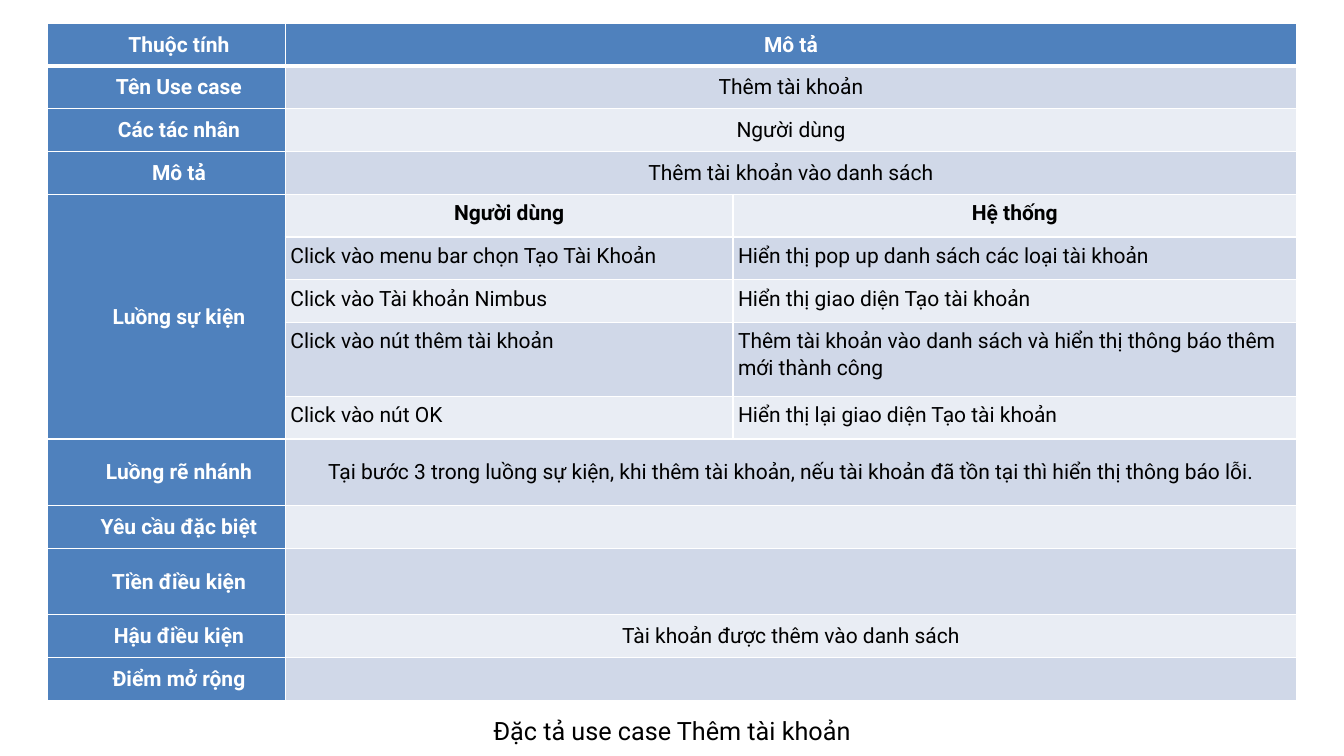
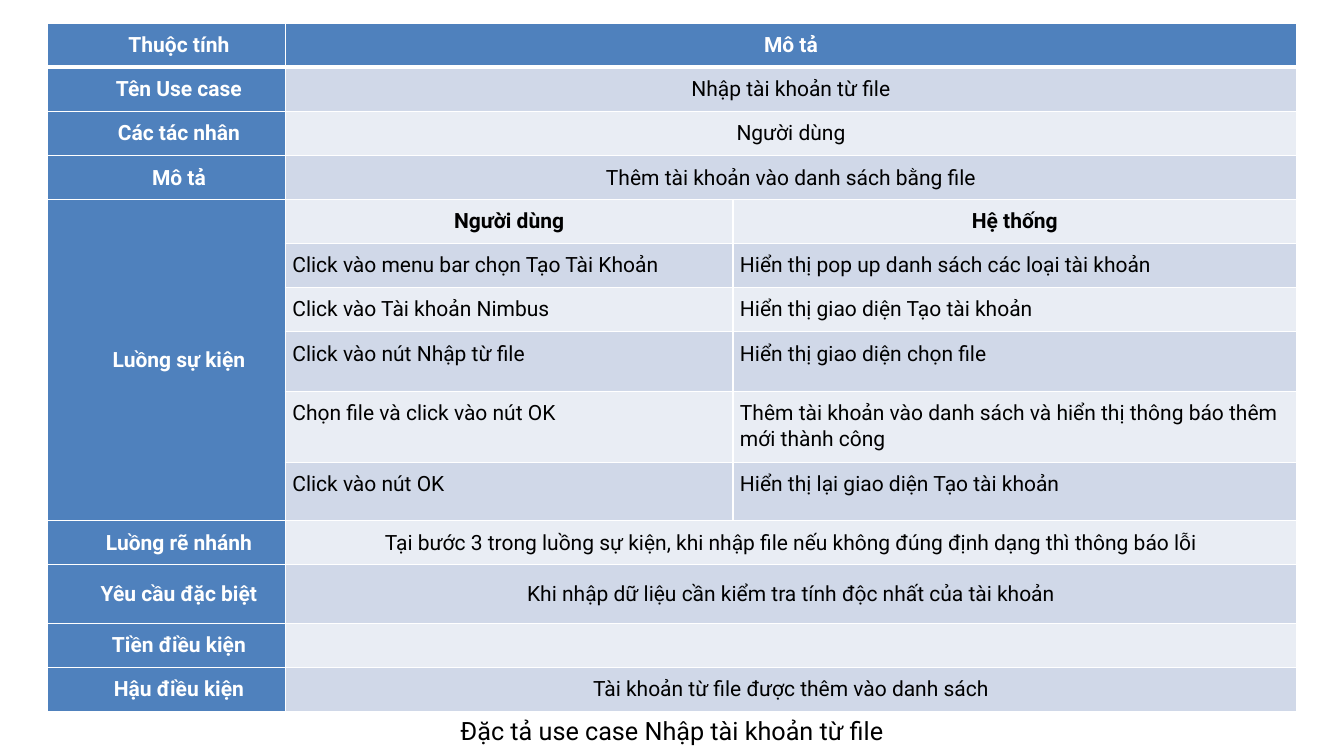
import lxml.etree
import pptx
import pptx.dml.color
import pptx.enum.text
import pptx.oxml.ns
import pptx.util

Inches = pptx.util.Inches
Pt = pptx.util.Pt
RGBColor = pptx.dml.color.RGBColor
Align = pptx.enum.text.PP_ALIGN
Anchor = pptx.enum.text.MSO_ANCHOR
qn = pptx.oxml.ns.qn

# Shared style
FONT = "Roboto"
BLUE = RGBColor(0x4F, 0x81, 0xBD)
BANDS = [RGBColor(0xE9, 0xED, 0xF4), RGBColor(0xD0, 0xD8, 0xE8)]
WHITE = RGBColor(0xFF, 0xFF, 0xFF)
BLACK = RGBColor(0, 0, 0)
LEFT, TOP, WIDTH = 0.47, 0.23, 12.39
COLUMNS = [2.36, 4.44, 5.59]

# Contents: plain rows hold a label and a value, events hold user and system
ACTORS = ("Các tác nhân", "Người dùng")
EVENT_LABEL = "Luồng sự kiện"
EVENT_START = [
    ("Người dùng", "Hệ thống"),
    ("Click vào menu bar chọn Tạo Tài Khoản",
     "Hiển thị pop up danh sách các loại tài khoản"),
    ("Click vào Tài khoản Nimbus", "Hiển thị giao diện Tạo tài khoản"),
]
EVENT_END = ("Click vào nút OK", "Hiển thị lại giao diện Tạo tài khoản")
ADDED = "Thêm tài khoản vào danh sách và hiển thị thông báo thêm mới thành công"

# "tall" gives the heights of the rows that differ from the ordinary one
USE_CASES = [
    dict(
        caption="Đặc tả use case Thêm tài khoản",
        insets=(0.05, 0.05, 0.05, 0.06),
        height=6.72,
        tall={7: 0.73, 9: 0.66, 11: 0.66},
        intro=[
            ("Tên Use case", "Thêm tài khoản"),
            ACTORS,
            ("Mô tả", "Thêm tài khoản vào danh sách"),
        ],
        events=EVENT_START + [("Click vào nút thêm tài khoản", ADDED), EVENT_END],
        outcome=[
            ("Luồng rẽ nhánh",
             "Tại bước 3 trong luồng sự kiện, khi thêm tài khoản, nếu tài khoản "
             "đã tồn tại thì hiển thị thông báo lỗi."),
            ("Yêu cầu đặc biệt", ""),
            ("Tiền điều kiện", ""),
            ("Hậu điều kiện", "Tài khoản được thêm vào danh sách"),
            ("Điểm mở rộng", ""),
        ],
    ),
    dict(
        caption="Đặc tả use case Nhập tài khoản từ file",
        insets=(0.07, 0.08, 0.07, 0.09),
        height=6.74,
        tall={7: 0.59, 8: 0.7, 9: 0.58, 11: 0.58},
        intro=[
            ("Tên Use case", "Nhập tài khoản từ file"),
            ACTORS,
            ("Mô tả", "Thêm tài khoản vào danh sách bằng file"),
        ],
        events=EVENT_START + [
            ("Click vào nút Nhập từ file", "Hiển thị giao diện chọn file"),
            ("Chọn file và click vào nút OK", ADDED),
            EVENT_END,
        ],
        outcome=[
            ("Luồng rẽ nhánh",
             "Tại bước 3 trong luồng sự kiện, khi nhập file nếu không đúng "
             "định dạng thì thông báo lỗi"),
            ("Yêu cầu đặc biệt",
             "Khi nhập dữ liệu cần kiểm tra tính độc nhất của tài khoản"),
            ("Tiền điều kiện", ""),
            ("Hậu điều kiện", "Tài khoản từ file được thêm vào danh sách"),
        ],
    ),
]


def put_text(tf, text, size=15, color=BLACK, bold=False, align=Align.CENTER,
             spacing=None, indent=0):
    p = tf.paragraphs[0]
    p.alignment = align
    if spacing:
        p.line_spacing = spacing
    if indent:
        p._p.get_or_add_pPr().set("marL", str(Inches(indent)))
    r = p.add_run()
    r.text = text
    r.font.name = FONT
    r.font.size = Pt(size)
    r.font.bold = bold
    r.font.color.rgb = color


def set_borders(cell, bottom=1, top=1):
    tcPr = cell._tc.get_or_add_tcPr()
    sides = [("lnL", 1), ("lnR", 1), ("lnT", top), ("lnB", bottom)]
    for i, (side, width) in enumerate(sides):
        ln = lxml.etree.Element(qn("a:" + side), w=str(Pt(width)))
        fill = lxml.etree.SubElement(ln, qn("a:solidFill"))
        lxml.etree.SubElement(fill, qn("a:srgbClr"), val=str(WHITE))
        tcPr.insert(i, ln)


class Deck:
    def __init__(self):
        self.prs = pptx.Presentation()
        self.prs.slide_width = Inches(13.33)
        self.prs.slide_height = Inches(7.5)
        self.slide = None

    def add_slide(self):
        self.slide = self.prs.slides.add_slide(self.prs.slide_layouts[6])

    def caption(self, text):
        sp = self.slide.shapes.add_textbox(
            Inches(LEFT), Inches(7.05), Inches(WIDTH), Inches(0.4))
        tf = sp.text_frame
        tf.word_wrap = True
        tf.auto_size = pptx.enum.text.MSO_AUTO_SIZE.SHAPE_TO_FIT_TEXT
        put_text(tf, text, size=18)

    def fill_cell(self, cell, text, insets, anchor=Anchor.MIDDLE, **fmt):
        if not text:
            return
        cell.vertical_anchor = anchor
        (cell.margin_left, cell.margin_top,
         cell.margin_right, cell.margin_bottom) = map(Inches, insets)
        put_text(cell.text_frame, text, spacing=1.07, **fmt)

    def table(self, intro, events, outcome, height, tall, insets):
        head = [("Thuộc tính", "Mô tả")] + intro
        count = len(head) + len(events) + len(outcome)
        ordinary = (height - sum(tall.values())) / (count - len(tall))
        table = self.slide.shapes.add_table(
            count, len(COLUMNS), Inches(LEFT), Inches(TOP),
            Inches(WIDTH), Inches(height)).table
        table.horz_banding = False
        for column, width in zip(table.columns, COLUMNS):
            column.width = Inches(width)

        # Fills and borders
        for i, row in enumerate(table.rows):
            row.height = Inches(tall.get(i, ordinary))
            for j, cell in enumerate(row.cells):
                cell.fill.solid()
                cell.fill.fore_color.rgb = BLUE if i == 0 or j == 0 else BANDS[i % 2]
                set_borders(cell, bottom=3 if i == 0 else 1, top=3 if i == 1 else 1)

        # Label and value rows
        label_format = dict(color=WHITE, bold=True, indent=0.25)
        first_event = len(head)
        after_events = first_event + len(events)
        plain = list(enumerate(head)) + list(enumerate(outcome, after_events))
        for i, (label, value) in plain:
            table.cell(i, 1).merge(table.cell(i, 2))
            self.fill_cell(table.cell(i, 0), label, insets, **label_format)
            self.fill_cell(table.cell(i, 1), value, insets, bold=i == 0,
                           color=WHITE if i == 0 else BLACK)

        # Event rows beside one merged label
        table.cell(first_event, 0).merge(table.cell(after_events - 1, 0))
        self.fill_cell(table.cell(first_event, 0), EVENT_LABEL, insets, **label_format)
        for i, event in enumerate(events, first_event):
            heading = i == first_event
            for j, text in enumerate(event, 1):
                self.fill_cell(table.cell(i, j), text, insets, anchor=Anchor.TOP,
                               bold=heading,
                               align=Align.CENTER if heading else Align.LEFT)


def main():
    deck = Deck()
    for case in USE_CASES:
        deck.add_slide()
        deck.table(case["intro"], case["events"], case["outcome"],
                   case["height"], case["tall"], case["insets"])
        deck.caption(case["caption"])
    deck.prs.save("out.pptx")


if __name__ == "__main__":
    main()
